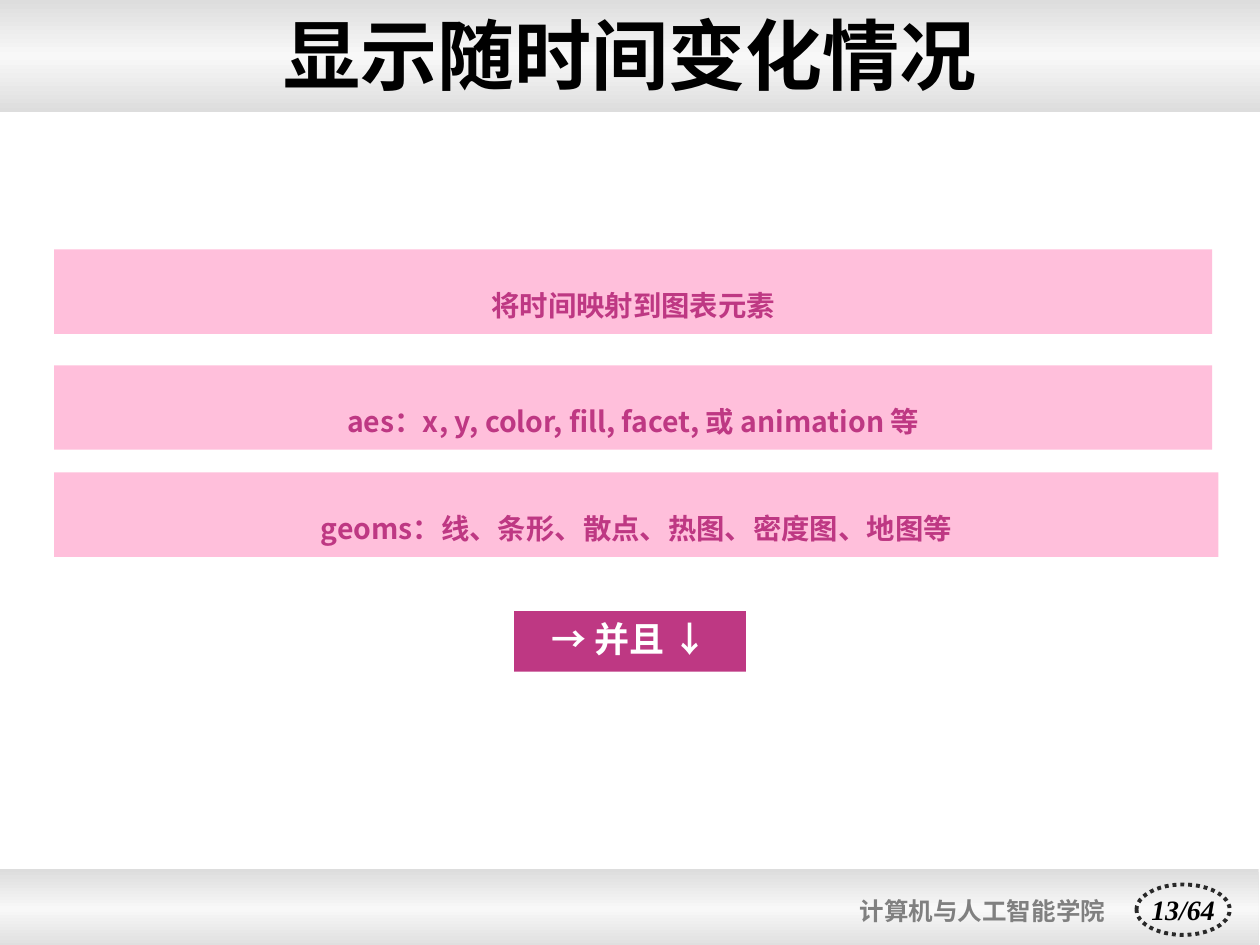
import copy
from dataclasses import dataclass

import pptx
import pptx.dml.color
import pptx.enum.dml
import pptx.enum.shapes
import pptx.enum.text
import pptx.oxml.ns
import pptx.util

Inches = pptx.util.Inches
Pt = pptx.util.Pt
RGBColor = pptx.dml.color.RGBColor
MSO_SHAPE = pptx.enum.shapes.MSO_SHAPE
MSO_ANCHOR = pptx.enum.text.MSO_ANCHOR
PP_ALIGN = pptx.enum.text.PP_ALIGN


@dataclass(frozen=True)
class Theme:
    heading_font: str = "Times New Roman"
    body_font: str = "Noto Sans CJK SC"
    black: str = "000000"
    white: str = "FFFFFF"
    gray: str = "808080"
    outline: str = "292929"
    pink: str = "FFBFDB"
    magenta: str = "BE3883"
    gradient: tuple = ((0, "DDDDDD"), (0.5, "F8F8F8"), (1, "DDDDDD"))
    title_size: int = 44
    row_size: int = 28
    label_size: int = 20
    page_size: int = 16
    school_size: int = 14


theme = Theme()


def add_plain_shape(kind, left, top, width, height, fill=None):
    shape = slide.shapes.add_shape(
        kind, Inches(left), Inches(top), Inches(width), Inches(height)
    )
    shape.shadow.inherit = False
    shape.line.fill.background()
    if fill:
        shape.fill.solid()
        shape.fill.fore_color.rgb = RGBColor.from_string(fill)
    else:
        shape.fill.background()
    return shape


def write_text(shape, text, font_name, size, color, align, anchor, wrap=True):
    frame = shape.text_frame
    frame.text = text
    frame.word_wrap = wrap
    frame.vertical_anchor = anchor
    paragraph = frame.paragraphs[0]
    paragraph.alignment = align
    paragraph.font.name = font_name
    paragraph.font.size = Pt(size)
    paragraph.font.bold = True
    paragraph.font.color.rgb = RGBColor.from_string(color)
    return paragraph


presentation = pptx.Presentation()
presentation.slide_width = Inches(10)
presentation.slide_height = Inches(7.5)
slide = presentation.slides.add_slide(presentation.slide_layouts[5])

for left, top, height in ((0, 0, 0.89), (-0.01, 6.9, 0.63)):
    band = add_plain_shape(MSO_SHAPE.RECTANGLE, left, top, 10, height)
    band.fill.gradient()
    band.fill.gradient_angle = 90
    stop_list = band._element.spPr.find(".//" + pptx.oxml.ns.qn("a:gsLst"))
    stop_list.append(copy.deepcopy(stop_list[0]))
    for stop, (position, color) in zip(band.fill.gradient_stops, theme.gradient):
        stop.position = position
        stop.color.rgb = RGBColor.from_string(color)

page_badge = add_plain_shape(MSO_SHAPE.OVAL, 9.02, 7.02, 0.74, 0.4)
page_badge.line.color.rgb = RGBColor.from_string(theme.outline)
page_badge.line.width = Pt(2.25)
page_badge.line.dash_style = pptx.enum.dml.MSO_LINE.ROUND_DOT
page_number = write_text(
    page_badge, "13/64", theme.heading_font, theme.page_size, theme.black,
    PP_ALIGN.CENTER, MSO_ANCHOR.MIDDLE, wrap=False,
)
page_number.font.italic = True

school = add_plain_shape(MSO_SHAPE.ROUNDED_RECTANGLE, 6.77, 6.9, 2.24, 0.66)
school.adjustments[0] = 0.02
school.text_frame.margin_left = school.text_frame.margin_right = Inches(0.05)
school.text_frame.margin_top = school.text_frame.margin_bottom = Inches(0.02)
write_text(
    school, "计算机与人工智能学院", theme.heading_font, theme.school_size, theme.gray,
    PP_ALIGN.LEFT, MSO_ANCHOR.MIDDLE, wrap=False,
)

title = slide.shapes.title
title.left, title.top = Inches(0), Inches(-0.02)
title.width, title.height = Inches(10), Inches(0.9)
write_text(
    title, "显示随时间变化情况", theme.heading_font, theme.title_size, theme.black,
    PP_ALIGN.CENTER, MSO_ANCHOR.MIDDLE,
)
title.text_frame.auto_size = pptx.enum.text.MSO_AUTO_SIZE.NONE
slide.shapes._spTree.append(title._element)

rows = (
    (1.98, 9.19, "将时间映射到图表元素"),
    (2.9, 9.19, "aes：x, y, color, fill, facet, 或 animation 等"),
    (3.75, 9.24, "geoms：线、条形、散点、热图、密度图、地图等"),
)
for top, width, text in rows:
    row = add_plain_shape(MSO_SHAPE.RECTANGLE, 0.43, top, width, 0.67, theme.pink)
    paragraph = write_text(
        row, text, theme.body_font, theme.row_size, theme.magenta,
        PP_ALIGN.CENTER, MSO_ANCHOR.TOP,
    )
    paragraph.runs[0].font._element.set("baseline", "-25000")

label = add_plain_shape(MSO_SHAPE.RECTANGLE, 4.08, 4.85, 1.84, 0.48, theme.magenta)
write_text(
    label, "→ 并且 ↓", theme.body_font, theme.label_size, theme.white,
    PP_ALIGN.CENTER, MSO_ANCHOR.TOP,
)

presentation.save("out.pptx")
